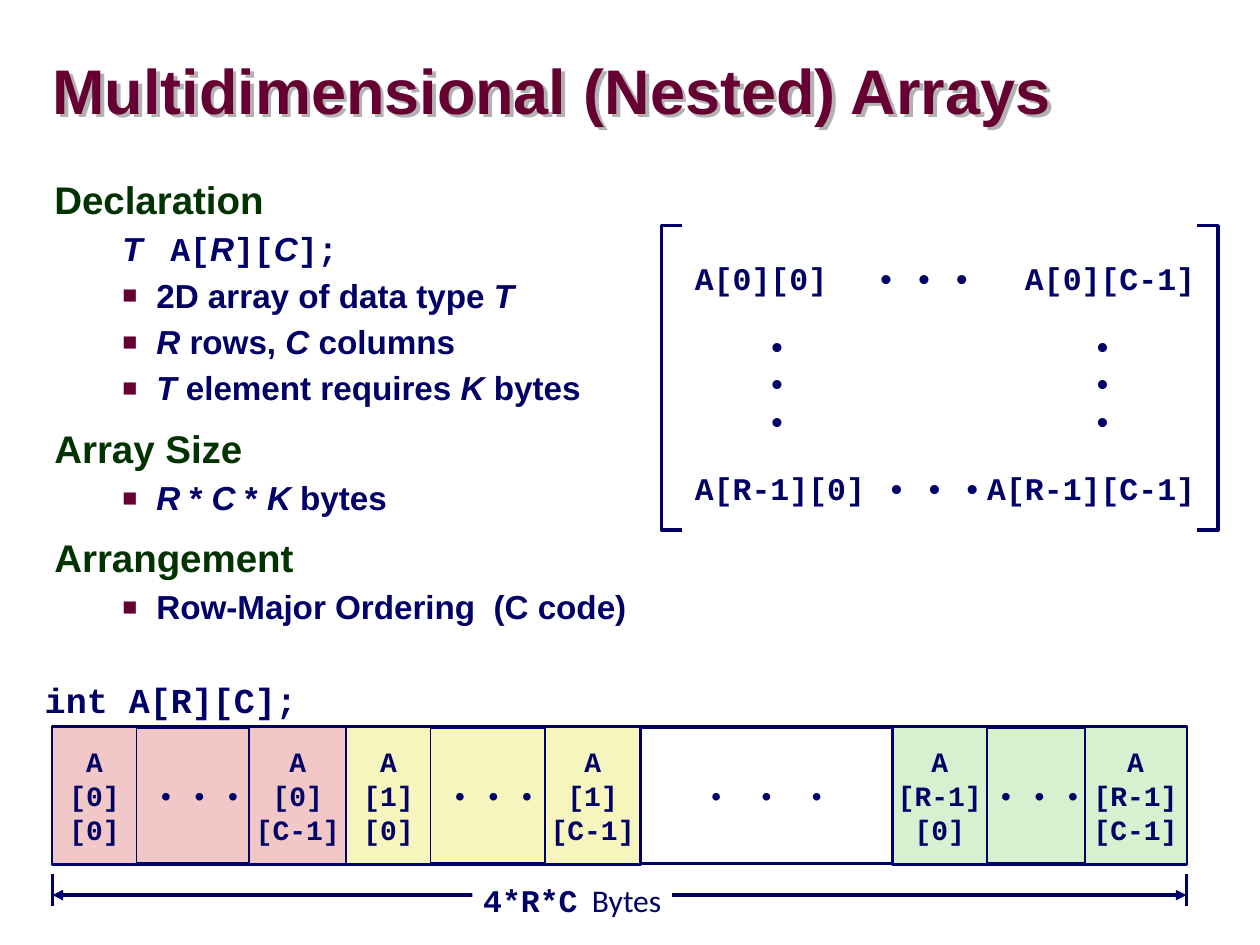
from lxml import etree
from pptx import Presentation
from pptx.dml.color import RGBColor
from pptx.enum.shapes import MSO_CONNECTOR, MSO_SHAPE
from pptx.enum.text import MSO_ANCHOR, MSO_AUTO_SIZE, PP_ALIGN
from pptx.oxml import parse_xml
from pptx.oxml.ns import nsdecls, qn
from pptx.util import Inches, Pt

LEFT, CENTER, RIGHT = PP_ALIGN.LEFT, PP_ALIGN.CENTER, PP_ALIGN.RIGHT
TOP, MIDDLE = MSO_ANCHOR.TOP, MSO_ANCHOR.MIDDLE
GROW = MSO_AUTO_SIZE.SHAPE_TO_FIT_TEXT
RECT, STRAIGHT = MSO_SHAPE.RECTANGLE, MSO_CONNECTOR.STRAIGHT
COLORS = {
    "title": "660033", "heading": "003300", "ink": "000066", "paper": "FFFFFF",
    "first": "F1C7C7", "second": "F6F5BD", "last": "D5F1CF", "shadow": "B2B2B2",
}
SANS, MONO, LABEL = "Arial", "Courier New", "Calibri"
DOTS, WIDE_DOTS = "• • •", "•  •  •"
COLS, ROWS = 120, 90
WIDTH, HEIGHT = Inches(10), Inches(7.5)
OUTLINE = [
    ("Declaration", [
        (False, [("T   ", SANS, True), ("A[", MONO, False), ("R", SANS, True),
                 ("][", MONO, False), ("C", SANS, True), ("];", MONO, False)]),
        (True, [("2D array of data type ", SANS, False), ("T", SANS, True)]),
        (True, [("R", SANS, True), (" rows, ", SANS, False),
                ("C", SANS, True), (" columns", SANS, False)]),
        (True, [("T", SANS, True), (" element requires ", SANS, False),
                ("K", SANS, True), (" bytes", SANS, False)]),
    ]),
    ("Array Size", [
        (True, [("R", SANS, True), (" * ", SANS, False), ("C ", SANS, True),
                ("* ", SANS, False), ("K ", SANS, True), ("bytes", SANS, False)]),
    ]),
    ("Arrangement", [(True, [("Row-Major Ordering  (C code)", SANS, False)])]),
]


def gx(col):
    """Convert grid columns to a length."""
    return int(WIDTH * col / COLS)


def gy(row):
    """Convert grid rows to a length."""
    return int(HEIGHT * row / ROWS)


def place(box):
    """Convert a grid box to left, top, width and height."""
    x, y, w, h = box
    return gx(x), gy(y), gx(w), gy(h)


def rgb(name):
    """Look up a named colour."""
    return RGBColor.from_string(COLORS[name])


def style(r, size, color="ink", font=MONO, bold=True, italic=False):
    """Format one run."""
    r.font.name, r.font.size = font, Pt(size)
    r.font.bold, r.font.italic = bold, italic
    r.font.color.rgb = rgb(color)


def add_text(s, box, anchor=TOP, wrap=False):
    """Add an empty text box."""
    sp = s.shapes.add_textbox(*place(box))
    sp.text_frame.word_wrap, sp.text_frame.vertical_anchor = wrap, anchor
    return sp


def add_cell(s, box, text, size, fill="paper", line=None, align=CENTER, bold=True):
    """Add a filled rectangle holding one paragraph per line of text."""
    sp = s.shapes.add_shape(RECT, *place(box))
    sp.shadow.inherit = False
    sp.fill.solid()
    sp.fill.fore_color.rgb = rgb(fill)
    if line:
        sp.line.color.rgb, sp.line.width = rgb("ink"), Pt(line)
    else:
        sp.line.fill.background()
    tf = sp.text_frame
    tf.word_wrap, tf.vertical_anchor = False, MIDDLE
    tf.text = text
    for p in tf.paragraphs:
        p.alignment = align
        style(p.runs[0], size, bold=bold)
    return tf


def add_line(s, x1, y1, x2, y2, arrows=False):
    """Add a straight ink line, with arrowheads at both ends if asked."""
    sp = s.shapes.add_connector(STRAIGHT, gx(x1), gy(y1), gx(x2), gy(y2))
    sp.line.color.rgb, sp.line.width = rgb("ink"), Pt(2)
    if arrows:
        ln = sp.line._get_or_add_ln()
        for end in ("a:headEnd", "a:tailEnd"):
            etree.SubElement(ln, qn(end)).set("type", "triangle")
    etree.SubElement(sp._element.spPr, qn("a:effectLst"))


def add_title(s, box):
    """Place the title; its unfilled box casts the shadow from the letters."""
    sp = add_text(s, box, MIDDLE, True)
    tf = sp.text_frame
    tf.margin_left = tf.margin_right = tf.margin_top = tf.margin_bottom = 0
    p = tf.paragraphs[0]
    p.text, p.line_spacing = "Multidimensional (Nested) Arrays", 0.87
    style(p.runs[0], 36, "title", SANS)
    sp._element.spPr.append(parse_xml(
        f'<a:effectLst {nsdecls("a")}>'
        '<a:outerShdw blurRad="0" dist="38100" dir="2700000" algn="tl" rotWithShape="0">'
        f'<a:srgbClr val="{COLORS["shadow"]}"/></a:outerShdw></a:effectLst>'))


def set_indent(p, margin, hanging, bullet):
    """Set a hanging indent and an optional square bullet."""
    pPr = p._p.get_or_add_pPr()
    pPr.set("marL", str(Inches(margin)))
    pPr.set("indent", str(-Inches(hanging)))
    if bullet:
        color = etree.SubElement(pPr, qn("a:buClr"))
        etree.SubElement(color, qn("a:srgbClr")).set("val", COLORS["title"])
        etree.SubElement(pPr, qn("a:buSzPct")).set("val", "75000")
        etree.SubElement(pPr, qn("a:buFont")).set("typeface", SANS)
        etree.SubElement(pPr, qn("a:buChar")).set("char", "■")
    else:
        etree.SubElement(pPr, qn("a:buNone"))


def add_outline(s, box):
    """Place the headings and their points."""
    tf = add_text(s, box, wrap=True).text_frame
    for i, (heading, points) in enumerate(OUTLINE):
        p = tf.add_paragraph() if i else tf.paragraphs[0]
        p.text = heading
        set_indent(p, 0.42, 0.42, False)
        p.line_spacing, p.space_before = 0.85, Pt(13.8 if i else 0)
        style(p.runs[0], 22, "heading", SANS)
        for bullet, pieces in points:
            p = tf.add_paragraph()
            set_indent(p, 0.81, 0.27, bullet)
            p.line_spacing, p.space_before = 0.9, Pt(5.9)
            for text, font, italic in pieces:
                r = p.add_run()
                r.text = text
                style(r, 19, font=font, italic=italic)


def add_bracket(s, tip, spine, top, bottom):
    """Draw one square bracket from its tips to its spine."""
    fb = s.shapes.build_freeform(gx(tip), gy(top))
    fb.add_line_segments(
        [(gx(spine), gy(top)), (gx(spine), gy(bottom)), (gx(tip), gy(bottom))], close=False)
    sp = fb.convert_to_shape()
    sp.shadow.inherit = False
    sp.fill.background()
    sp.line.color.rgb, sp.line.width = rgb("ink"), Pt(2)


def add_matrix(s, box):
    """Place the bracketed matrix of elements."""
    x, y, w, h = box
    for row, top, dots_x in (("0", y + 2, x + 19), ("R-1", y + 22, x + 20)):
        add_cell(s, (x + 2, top, 16, 6), f"A[{row}][0]", 18, align=LEFT)
        add_cell(s, (dots_x, top, 12, 6), DOTS, 18)
        add_cell(s, (x + w - 17, top, 16, 6), f"A[{row}][C-1]", 18, align=RIGHT)
    for left in (x + 8, x + 39):
        add_cell(s, (left, y + 10, 6, 10), "•\n•\n•", 18)
    add_bracket(s, x + 2, x, y, y + h)
    add_bracket(s, x + w - 2, x + w, y, y + h)


def add_row_block(s, box, fill, row, first_w, last_w):
    """Place the first and last elements of one array row."""
    x, y, w, h = box
    add_cell(s, box, DOTS, 16, fill, 2.25, bold=False)
    add_cell(s, (x, y, first_w, h), f"A\n[{row}]\n[0]", 16, fill, 1)
    add_cell(s, (x + w - last_w, y, last_w, h), f"A\n[{row}]\n[C-1]", 16, fill, 1)


def add_memory(s, box):
    """Place the declaration, the memory strip and its size mark."""
    x, y, w, h = box
    tf = add_text(s, (x - 2.1, y - 5.25, 26.6, 5.25)).text_frame
    tf.auto_size = GROW
    p = tf.paragraphs[0]
    p.text, p.alignment = "int A[R][C];", RIGHT
    style(p.runs[0], 20)
    block = 28
    add_row_block(s, (x, y, block, h), "first", "0", 8, 9.3)
    add_row_block(s, (x + block, y, block, h), "second", "1", 8, 9.1)
    add_row_block(s, (x + w - block, y, block, h), "last", "R-1", 9, 9.7)
    add_cell(s, (x + 2 * block, y, w - 3 * block, h), WIDE_DOTS, 16, line=2, bold=False)
    base = y + h + 1
    for end in (x, x + w):
        add_line(s, end, base, end, base + 3)
    add_line(s, x, base + 2, x + w, base + 2, arrows=True)
    tf = add_cell(s, (x + 40, base, 19, 5), "4*R*C", 18)
    r = tf.paragraphs[0].add_run()
    r.text = "  Bytes"
    style(r, 18, font=LABEL, bold=False)


def main():
    """Build and save the slide."""
    prs = Presentation()
    prs.slide_width, prs.slide_height = WIDTH, HEIGHT
    s = prs.slides.add_slide(prs.slide_layouts[6])
    add_title(s, (5, 5.25, 106, 7.5))
    add_outline(s, (4, 16.9, 67, 44.2))
    add_matrix(s, (63, 21.5, 53, 29))
    add_memory(s, (5, 69.25, 108, 13))
    prs.save("out.pptx")


if __name__ == "__main__":
    main()
